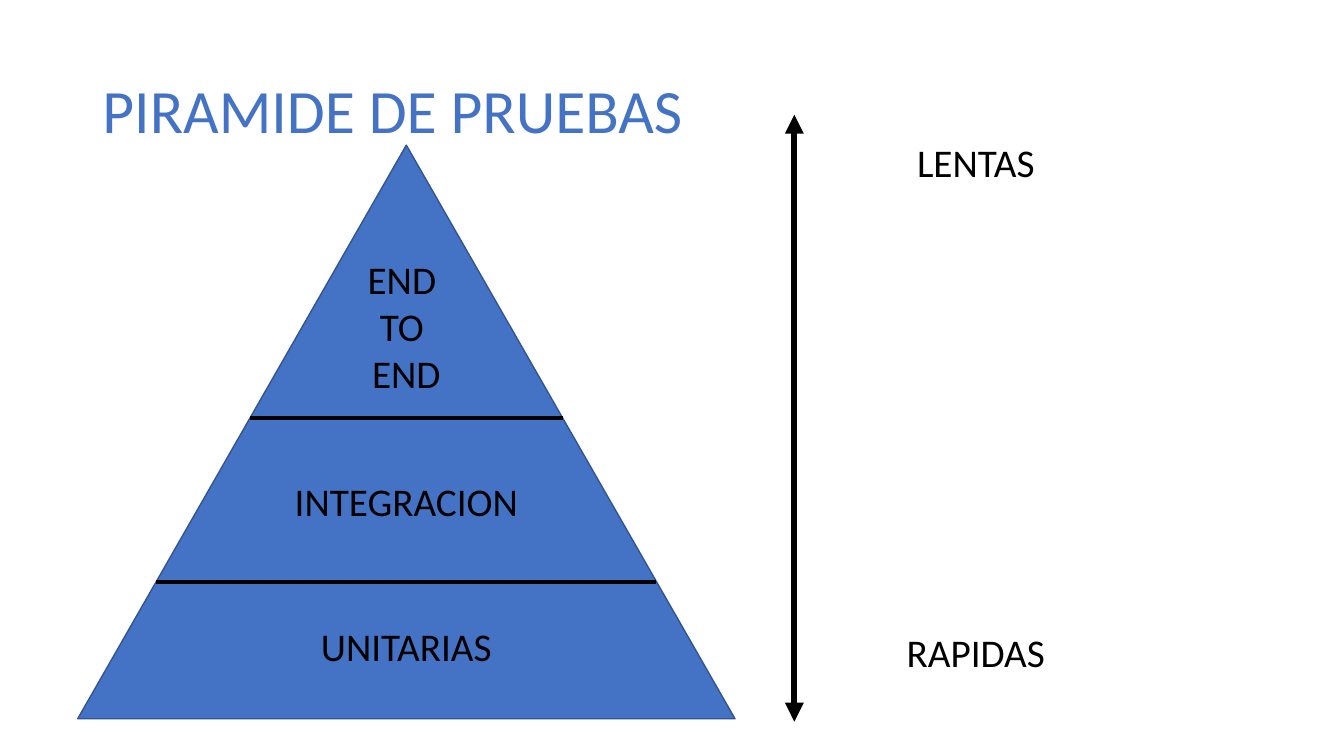
from lxml import etree
from pptx import Presentation
from pptx.dml.color import RGBColor
from pptx.enum.shapes import MSO_CONNECTOR, MSO_SHAPE
from pptx.enum.text import MSO_ANCHOR, MSO_AUTO_SIZE, PP_ALIGN
from pptx.oxml.ns import qn
from pptx.util import Pt

LINE = MSO_CONNECTOR.STRAIGHT
TRIANGLE = MSO_SHAPE.ISOSCELES_TRIANGLE
MIDDLE, TOP = MSO_ANCHOR.MIDDLE, MSO_ANCHOR.TOP
LEFT, CENTER = PP_ALIGN.LEFT, PP_ALIGN.CENTER
NO_FIT = MSO_AUTO_SIZE.NONE
FONT = "Calibri"
BLUE, EDGE, BLACK = "4472C4", "325491", "000000"
TIERS = [(["END ", "TO ", "END"], 0.315), (["INTEGRACION"], 0.621),
         (["UNITARIAS"], 0.873)]
CUTS = [0.476, 0.761]
SPEEDS = [("LENTAS", 33.6), ("RAPIDAS", 383.5)]


def paint(color, value):
    color.rgb = RGBColor.from_string(value)


def add_run(para, text, size, color):
    run = para.add_run()
    run.text = text
    run.font.name = FONT
    run.font.size = Pt(size)
    paint(run.font.color, color)


def add_line(slide, x1, y1, x2, y2, width):
    line = slide.shapes.add_connector(LINE, Pt(x1), Pt(y1), Pt(x2), Pt(y2))
    paint(line.line.color, BLACK)
    line.line.width = Pt(width)
    etree.SubElement(line._element.spPr, qn("a:effectLst"))
    return line


def add_label(slide, rows, mid_x, mid_y, width):
    height = 7.2 + 33.8 * len(rows)
    box = slide.shapes.add_textbox(Pt(mid_x - width / 2), Pt(mid_y - height / 2),
                                   Pt(width), Pt(height))
    frame = box.text_frame
    frame.word_wrap = False
    frame.vertical_anchor = TOP
    for i, row in enumerate(rows):
        para = frame.add_paragraph() if i else frame.paragraphs[0]
        para.alignment = CENTER
        add_run(para, row, 28, BLACK)


def add_title(slide, x, y, w, h):
    title = slide.shapes.title
    title.left, title.top, title.width, title.height = Pt(x), Pt(y), Pt(w), Pt(h)
    frame = title.text_frame
    frame.auto_size = NO_FIT
    frame.word_wrap = True
    frame.vertical_anchor = MIDDLE
    para = frame.paragraphs[0]
    para.alignment = LEFT
    para.line_spacing = 0.9
    add_run(para, "PIRAMIDE DE PRUEBAS", 44, BLUE)


def add_pyramid(slide, x, y, w, h):
    body = slide.shapes.add_shape(TRIANGLE, Pt(x), Pt(y), Pt(w), Pt(h))
    body.shadow.inherit = False
    body.fill.solid()
    paint(body.fill.fore_color, BLUE)
    paint(body.line.color, EDGE)
    body.line.width = Pt(1)
    mid = x + w / 2
    for cut in CUTS:
        half = w * cut / 2
        add_line(slide, mid - half, y + h * cut, mid + half, y + h * cut, 3)
    for rows, part in TIERS:
        add_label(slide, rows, mid, y + h * part, w * 0.37)


def add_scale(slide, x, y, w, h):
    arrow = add_line(slide, x, y, x, y + h, 4.5)
    stroke = arrow.line._get_or_add_ln()
    for end in ("a:headEnd", "a:tailEnd"):
        etree.SubElement(stroke, qn(end), type="triangle")
    for name, drop in SPEEDS:
        add_label(slide, [name], x + w / 2, y + drop, 115)


def main():
    deck = Presentation()
    deck.slide_width, deck.slide_height = Pt(960), Pt(540)
    slide = deck.slides.add_slide(deck.slide_layouts[5])
    add_title(slide, 66, 28.8, 828, 104.4)
    add_pyramid(slide, 55.5, 103.7, 469.5, 409.7)
    add_scale(slide, 567.4, 82, 259.2, 433.5)
    deck.save("out.pptx")


if __name__ == "__main__":
    main()
